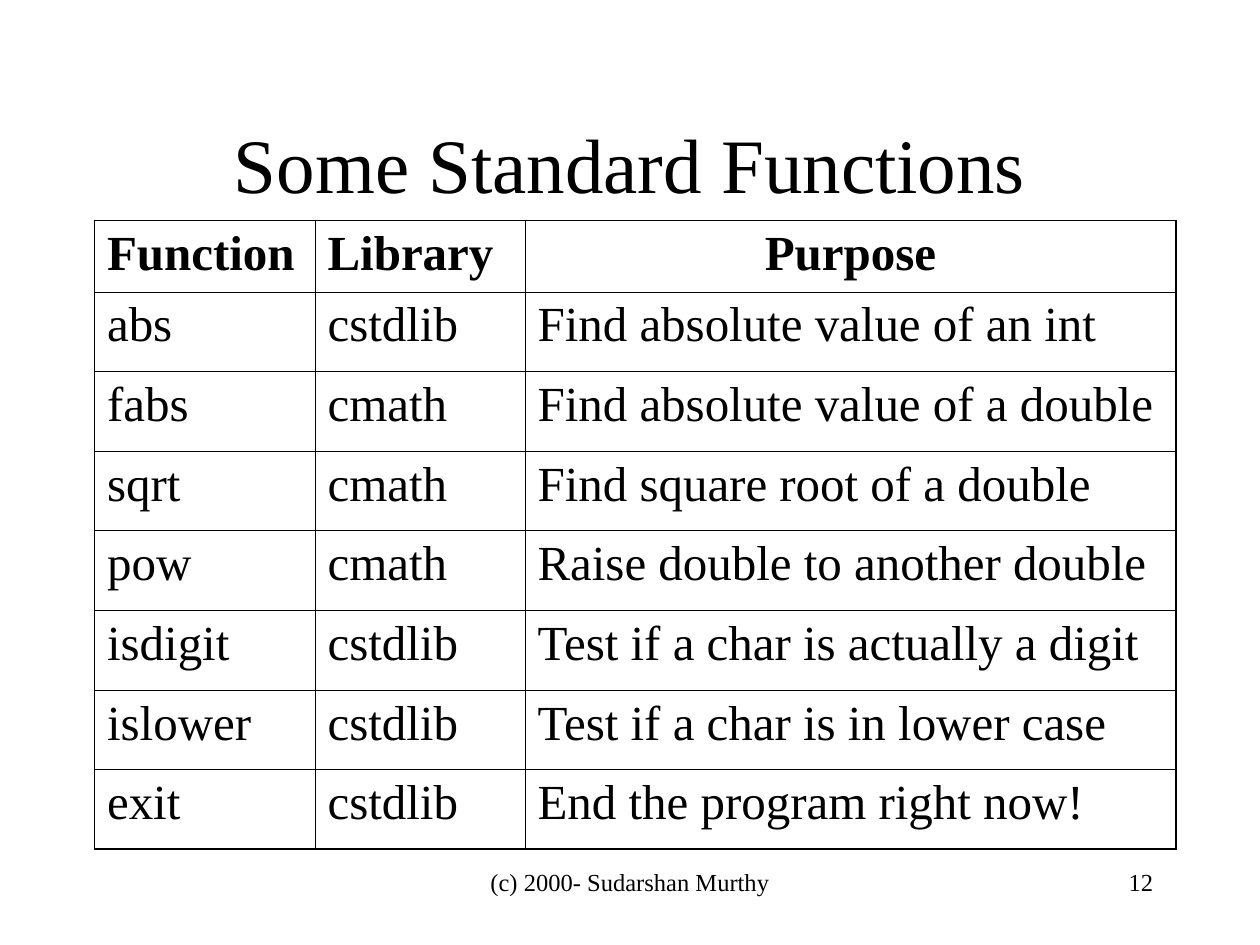
from dataclasses import dataclass

from lxml import etree
from pptx import Presentation
from pptx import util as u
from pptx.dml.color import RGBColor
from pptx.enum import text
from pptx.oxml import ns


@dataclass(frozen=True)
class Theme:
    font: str = "Times New Roman"
    ink: str = "000000"
    title_size: float = 44
    table_size: float = 28
    footer_size: float = 14
    inner_line: float = 0.45
    outer_line: float = 1.08


@dataclass(frozen=True)
class Label:
    words: str
    left: float
    top: float
    width: float
    height: float
    size: float
    align: text.PP_ALIGN
    anchor: text.MSO_ANCHOR = text.MSO_ANCHOR.TOP


@dataclass(frozen=True)
class FunctionRow:
    function: str
    library: str
    purpose: str


THEME = Theme()
ALIGN = text.PP_ALIGN

LABELS = [
    Label("Some Standard Functions", 54, 48, 612, 90, THEME.title_size,
          ALIGN.CENTER, text.MSO_ANCHOR.MIDDLE),
    Label("(c) 2000- Sudarshan Murthy", 246, 492, 228, 36, THEME.footer_size, ALIGN.CENTER),
    Label("12", 516, 492, 150, 36, THEME.footer_size, ALIGN.RIGHT),
]

ROWS = [
    FunctionRow("Function", "Library", "Purpose"),
    FunctionRow("abs", "cstdlib", "Find absolute value of an int"),
    FunctionRow("fabs", "cmath", "Find absolute value of a double"),
    FunctionRow("sqrt", "cmath", "Find square root of a double"),
    FunctionRow("pow", "cmath", "Raise double to another double"),
    FunctionRow("isdigit", "cstdlib", "Test if a char is actually a digit"),
    FunctionRow("islower", "cstdlib", "Test if a char is in lower case"),
    FunctionRow("exit", "cstdlib", "End the program right now!"),
]
TABLE_LEFT, TABLE_TOP = 54, 126
COLUMN_WIDTHS = [126, 120, 372]
HEADER_HEIGHT, ROW_HEIGHT = 40.75, 45.5


def write(tf, words: str, size: float, align: text.PP_ALIGN, bold: bool = False) -> None:
    tf.text = words
    p = tf.paragraphs[0]
    p.alignment = align
    font = p.runs[0].font
    font.name = THEME.font
    font.size = u.Pt(size)
    font.bold = bold
    font.color.rgb = RGBColor.from_string(THEME.ink)


def add_label(slide, label: Label) -> None:
    box = slide.shapes.add_textbox(u.Pt(label.left), u.Pt(label.top),
                                   u.Pt(label.width), u.Pt(label.height))
    tf = box.text_frame
    tf.word_wrap = True
    tf.vertical_anchor = label.anchor
    write(tf, label.words, label.size, label.align)


def set_borders(cell, widths: dict[str, float]) -> None:
    """Draw each cell edge; the keys must follow the schema order L, R, T, B."""
    props = cell._tc.get_or_add_tcPr()
    for edge, width in widths.items():
        line = etree.SubElement(props, ns.qn(f"a:ln{edge}"), w=str(u.Pt(width)))
        fill = etree.SubElement(line, ns.qn("a:solidFill"))
        etree.SubElement(fill, ns.qn("a:srgbClr"), val=THEME.ink)


def add_function_table(slide, rows: list[FunctionRow]) -> None:
    heights = [HEADER_HEIGHT] + [ROW_HEIGHT] * (len(rows) - 1)
    frame = slide.shapes.add_table(len(rows), len(COLUMN_WIDTHS),
                                   u.Pt(TABLE_LEFT), u.Pt(TABLE_TOP),
                                   u.Pt(sum(COLUMN_WIDTHS)), u.Pt(sum(heights)))
    table = frame.table
    table.first_row = table.horz_banding = False
    for column, width in zip(table.columns, COLUMN_WIDTHS):
        column.width = u.Pt(width)
    last_row, last_col = len(rows) - 1, len(COLUMN_WIDTHS) - 1
    inner, outer = THEME.inner_line, THEME.outer_line
    for i, (row, height) in enumerate(zip(rows, heights)):
        table.rows[i].height = u.Pt(height)
        for j, words in enumerate((row.function, row.library, row.purpose)):
            cell = table.cell(i, j)
            centred = i == 0 and j == last_col
            write(cell.text_frame, words, THEME.table_size,
                  ALIGN.CENTER if centred else ALIGN.LEFT, bold=i == 0)
            set_borders(cell, {
                "L": inner,
                "R": outer if j == last_col else inner,
                "T": outer if i == 0 else inner,
                "B": outer if i == last_row else inner,
            })
            cell.fill.background()


def main() -> None:
    prs = Presentation()
    prs.slide_width, prs.slide_height = u.Pt(720), u.Pt(540)
    slide = prs.slides.add_slide(prs.slide_layouts[6])
    title, *footers = LABELS
    add_label(slide, title)
    add_function_table(slide, ROWS)
    for footer in footers:
        add_label(slide, footer)
    prs.save("out.pptx")


if __name__ == "__main__":
    main()
